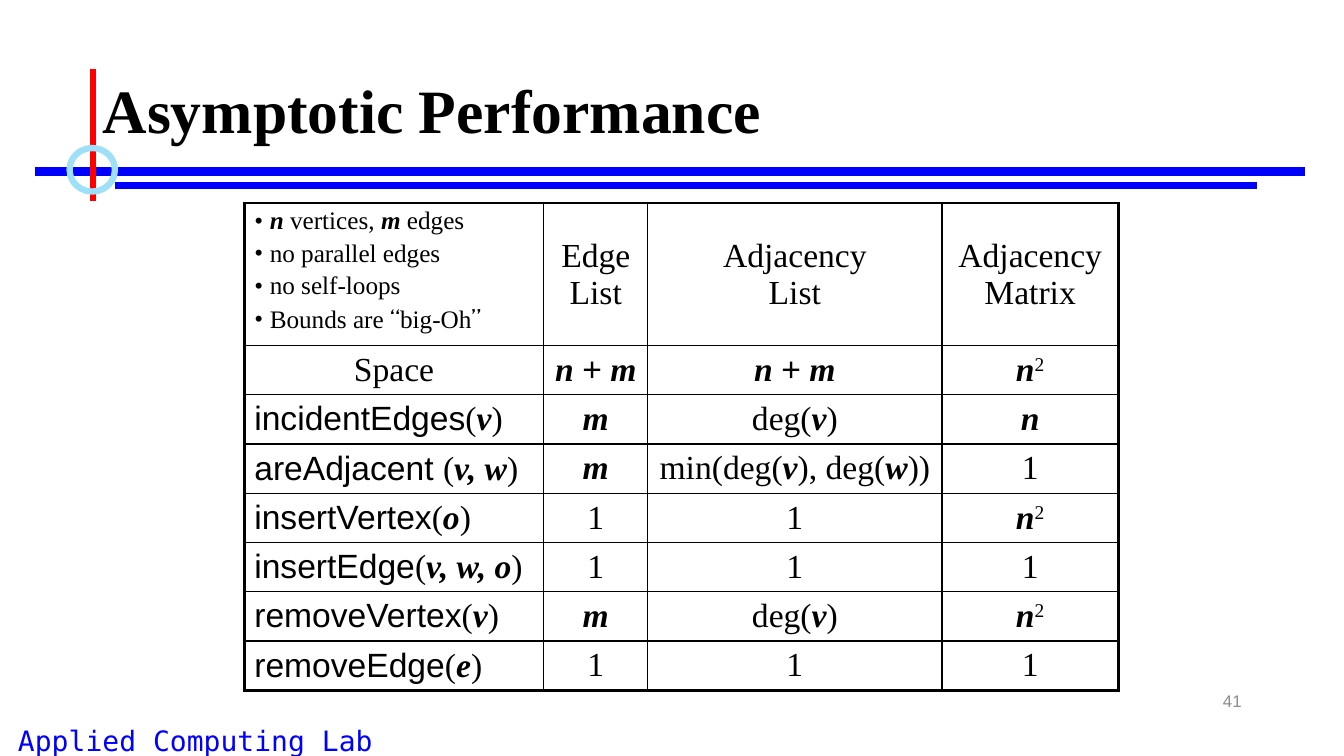
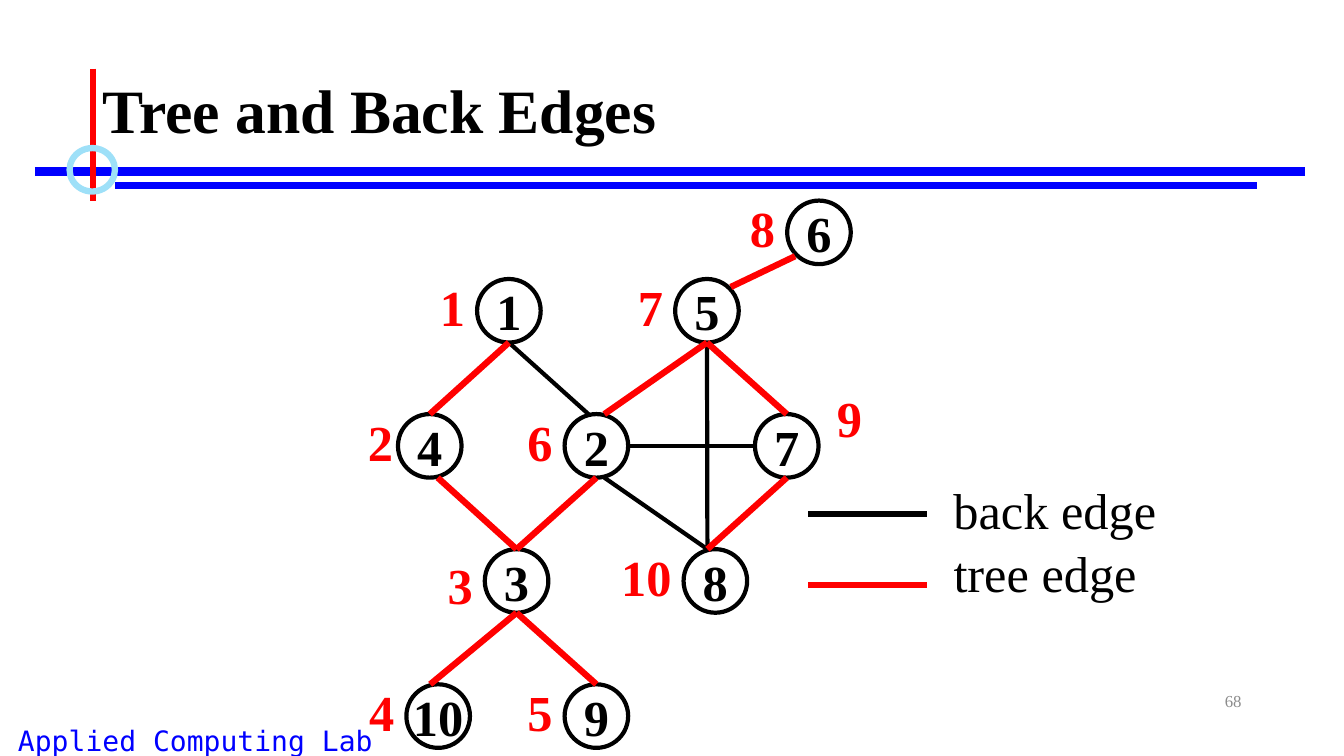
from lxml import etree
from pptx import Presentation
from pptx.dml.color import RGBColor
from pptx.enum.shapes import MSO_CONNECTOR as Link, MSO_SHAPE as Preset
from pptx.enum.text import MSO_ANCHOR as Anchor, PP_ALIGN as Align
from pptx.oxml.ns import qn
from pptx.util import Pt

COLORS = {
    "ink": "000000",
    "blue": "0000FF",
    "red": "FF0000",
    "sky": "9EE0F8",
    "grey": "8C8C8C",
}
SERIF, SANS, MONO = "Times New Roman", "Arial", "DejaVu Sans Mono"

SPAN_MARKS = {
    "*": {"bold": True, "italic": True},
    "`": {"name": SANS},
    "~": {"name": "Cabin"},
    "^": {"baseline": 30000},
}

COLUMNS = [214, 74.2, 210.2, 126]
ROWS = [101, 35] + [34.2] * 6
ASSUMPTIONS = [
    "*n| vertices, |*m| edges",
    "no parallel edges",
    "no self-loops",
    "Bounds are |~“|big-Oh|~”",
]
SUM = "*n |`+|* m"
COSTS = [
    ["", "Edge\nList", "Adjacency\nList", "Adjacency Matrix"],
    ["Space", SUM, SUM, "*n|^2"],
    ["`incidentEdges|(|*v|)", "*m", "deg(|*v|)", "*n"],
    ["`areAdjacent |(|*v, w|)", "*m", "min(deg(|*v|), deg(|*w|))", "1"],
    ["`insertVertex|(|*o|)", "1", "1", "*n|^2"],
    ["`insertEdge|(|*v, w, o|)", "1", "1", "1"],
    ["`removeVertex|(|*v|)", "*m", "deg(|*v|)", "*n|^2"],
    ["`removeEdge|(|*e|)", "1", "1", "1"],
]

RADIUS = 22.7
LEVELS = [222 + 96.5 * level for level in range(4)]
NODES = {
    "1": (363.5, LEVELS[0]),
    "4": (307, LEVELS[1]),
    "2": (426, LEVELS[1]),
    "3": (369, LEVELS[2]),
    "10": (313, LEVELS[3]),
    "9": (426, LEVELS[3]),
    "6": (585, 166),
    "5": (505, LEVELS[0]),
    "7": (562, LEVELS[1]),
    "8": (511, LEVELS[2]),
}
VISIT_ORDER = ["1", "4", "3", "10", "9", "2", "5", "6", "7", "8"]
LABEL_NUDGES = {"4": (5, 0), "3": (0, 5.7), "7": (85, -17)}
PORTS = {
    "top": (0, -1),
    "top left": (-0.25, -1),
    "top right": (0.25, -1),
    "bottom": (0, 1),
    "bottom right": (0.25, 1),
    "left": (-1, 0),
    "right": (1, 0),
    "upper right": (0.75, -0.75),
    "lower left": (-0.75, 0.75),
}
BACK_EDGES = [
    ("1", "bottom", "2", "top left"),
    ("2", "right", "7", "left"),
    ("5", "bottom", "8", "top left"),
    ("2", "bottom right", "8", "top left"),
]
TREE_EDGES = [
    ("1", "bottom", "4", "top"),
    ("4", "bottom right", "3", "top"),
    ("3", "bottom", "10", "top left"),
    ("3", "bottom", "9", "top"),
    ("3", "top", "2", "bottom"),
    ("2", "top right", "5", "bottom"),
    ("5", "upper right", "6", "lower left"),
    ("5", "bottom", "7", "top"),
    ("7", "bottom", "8", "top left"),
]


class Deck:
    def __init__(self):
        self.file = Presentation()
        self.file.slide_width, self.file.slide_height = Pt(960), Pt(540)
        self.page = None

    def color(self, name):
        return RGBColor.from_string(COLORS[name])

    def new_page(self, title, number, number_font):
        self.page = self.file.slides.add_slide(self.file.slide_layouts[6])
        self.text("Applied Computing Lab", 0, 513.4, 279, 26, 20,
                  color="blue", name=MONO, align=Align.CENTER)
        self.line((25, 122.4), (932.5, 122.4), "blue", 6)
        self.line((82, 132.5), (898, 132.5), "blue", 4.5)
        self.line((66.3, 49), (66.3, 143.3), "red", 4.5)
        self.circle(49.7, 105.8, 32.4, 31, "sky", 4.5)
        heading = self.text(title, 66.2, 28.8, 828, 104.4, 44, bold=True, anchor=Anchor.MIDDLE)
        heading.text_frame.paragraphs[0].line_spacing = 0.9
        self.text(number, 678, 486, 216, 28.8, 12, color="grey", name=number_font,
                  align=Align.RIGHT, anchor=Anchor.MIDDLE)

    def format(self, para, size, color="ink", name=SERIF, bold=False):
        for span in para.runs:
            font = span.font
            font.size, font.name, font.bold = Pt(size), name, bold
            font.color.rgb = self.color(color)

    def text(self, words, left, top, width, height, size, color="ink", name=SERIF,
             bold=False, align=Align.LEFT, anchor=Anchor.TOP, wrap=True):
        box = self.page.shapes.add_textbox(Pt(left), Pt(top), Pt(width), Pt(height))
        frame = box.text_frame
        frame.word_wrap, frame.vertical_anchor = wrap, anchor
        frame.text = words
        frame.paragraphs[0].alignment = align
        self.format(frame.paragraphs[0], size, color, name, bold)
        return box

    def line(self, start, end, color, width):
        points = [Pt(value) for value in (*start, *end)]
        link = self.page.shapes.add_connector(Link.STRAIGHT, *points)
        link.line.color.rgb = self.color(color)
        link.line.width = Pt(width)
        etree.SubElement(link._element.spPr, qn("a:effectLst"))

    def circle(self, left, top, width, height, color, weight):
        ring = self.page.shapes.add_shape(Preset.OVAL, Pt(left), Pt(top), Pt(width), Pt(height))
        ring.shadow.inherit = False
        ring.fill.background()
        ring.line.color.rgb = self.color(color)
        ring.line.width = Pt(weight)
        return ring

    def node(self, name, x, y):
        ring = self.circle(x - RADIUS, y - RADIUS, 2 * RADIUS, 2 * RADIUS, "ink", 3)
        frame = ring.text_frame
        frame.margin_left = frame.margin_right = frame.margin_top = frame.margin_bottom = 0
        frame.word_wrap, frame.vertical_anchor = False, Anchor.MIDDLE
        frame.text = name
        frame.paragraphs[0].alignment = Align.CENTER
        self.format(frame.paragraphs[0], 36, bold=True)

    def edges(self, links, color, width):
        def port(name, side):
            return [at + RADIUS * shift for at, shift in zip(NODES[name], PORTS[side])]

        for start, start_side, end, end_side in links:
            self.line(port(start, start_side), port(end, end_side), color, width)

    def marked(self, para, words, size):
        parts = [(SPAN_MARKS.get(part[0], {}), part) for part in words.split("|")]
        if len(parts) == 1 and not parts[0][0]:
            para.text = words
            self.format(para, size)
            return
        spans = []
        for marks, part in parts:
            span = para.add_run()
            span.text = part[1:] if marks else part
            spans.append((span, marks))
        self.format(para, size)
        for span, marks in spans:
            for key, value in marks.items():
                if key == "baseline":
                    span.font._element.set(key, str(value))
                else:
                    setattr(span.font, key, value)

    def bullets(self, frame, items, size):
        for index, words in enumerate(items):
            para = frame.add_paragraph() if index else frame.paragraphs[0]
            if index:
                para.space_before = Pt(3)
            props = para._p.get_or_add_pPr()
            props.set("marL", str(Pt(11)))
            props.set("indent", str(-Pt(11)))
            etree.SubElement(props, qn("a:buFont"), typeface=SERIF)
            etree.SubElement(props, qn("a:buChar"), char="•")
            self.marked(para, words, size)

    def borders(self, cell, outer):
        props = cell._tc.get_or_add_tcPr()
        for side in "LRTB":
            width = Pt(2.25 if side in outer else 1)
            edge = etree.SubElement(props, qn("a:ln" + side), w=str(width))
            fill = etree.SubElement(edge, qn("a:solidFill"))
            etree.SubElement(fill, qn("a:srgbClr"), val=COLORS["ink"])
        cell.fill.background()

    def table(self, rows, left, top):
        frame = self.page.shapes.add_table(len(ROWS), len(COLUMNS), Pt(left), Pt(top),
                                           Pt(sum(COLUMNS)), Pt(sum(ROWS)))
        grid = frame.table
        grid.first_row = grid.horz_banding = False
        for column, width in zip(grid.columns, COLUMNS):
            column.width = Pt(width)
        for row, height in zip(grid.rows, ROWS):
            row.height = Pt(height)
        for r, row in enumerate(rows):
            for c, words in enumerate(row):
                cell = grid.cell(r, c)
                cell.margin_top = cell.margin_bottom = Pt(3.2)
                sides = {"L": c == 0, "R": c == len(COLUMNS) - 1,
                         "T": r == 0, "B": r == len(ROWS) - 1}
                self.borders(cell, [side for side, outer in sides.items() if outer])
                if not words:
                    continue
                cell.vertical_anchor = Anchor.MIDDLE
                para = cell.text_frame.paragraphs[0]
                para.alignment = Align.LEFT if c == 0 and r > 1 else Align.CENTER
                self.marked(para, words, 24)
        return grid


def performance_page(deck):
    deck.new_page("Asymptotic Performance", "41", SANS)
    grid = deck.table(COSTS, 174.5, 145)
    deck.bullets(grid.cell(0, 0).text_frame, ASSUMPTIONS, 18)


def edges_page(deck):
    deck.new_page("Tree and Back Edges", "68", SERIF)
    for name, (x, y) in NODES.items():
        deck.node(name, x, y)
    deck.edges(BACK_EDGES, "ink", 3)
    for order, name in enumerate(VISIT_ORDER, 1):
        x, y = NODES[name]
        dx, dy = LABEL_NUDGES.get(name, (0, 0))
        width = 14.4 + 18 * len(str(order))
        deck.text(str(order), x - 24 - width + dx, y - 28.4 + dy, width, 50.4, 36,
                  color="red", bold=True, wrap=False)
    deck.edges(TREE_EDGES, "red", 4.5)
    legend = [("back edge", "ink", 367, 338.4, 160), ("tree edge", "red", 417.8, 383.8, 145.4)]
    for words, color, line_y, text_top, width in legend:
        deck.line((577.5, line_y), (662.5, line_y), color, 4.5)
        deck.text(words, 674, text_top, width, 50.4, 36, wrap=False)


def main():
    deck = Deck()
    performance_page(deck)
    edges_page(deck)
    deck.file.save("out.pptx")


if __name__ == "__main__":
    main()
